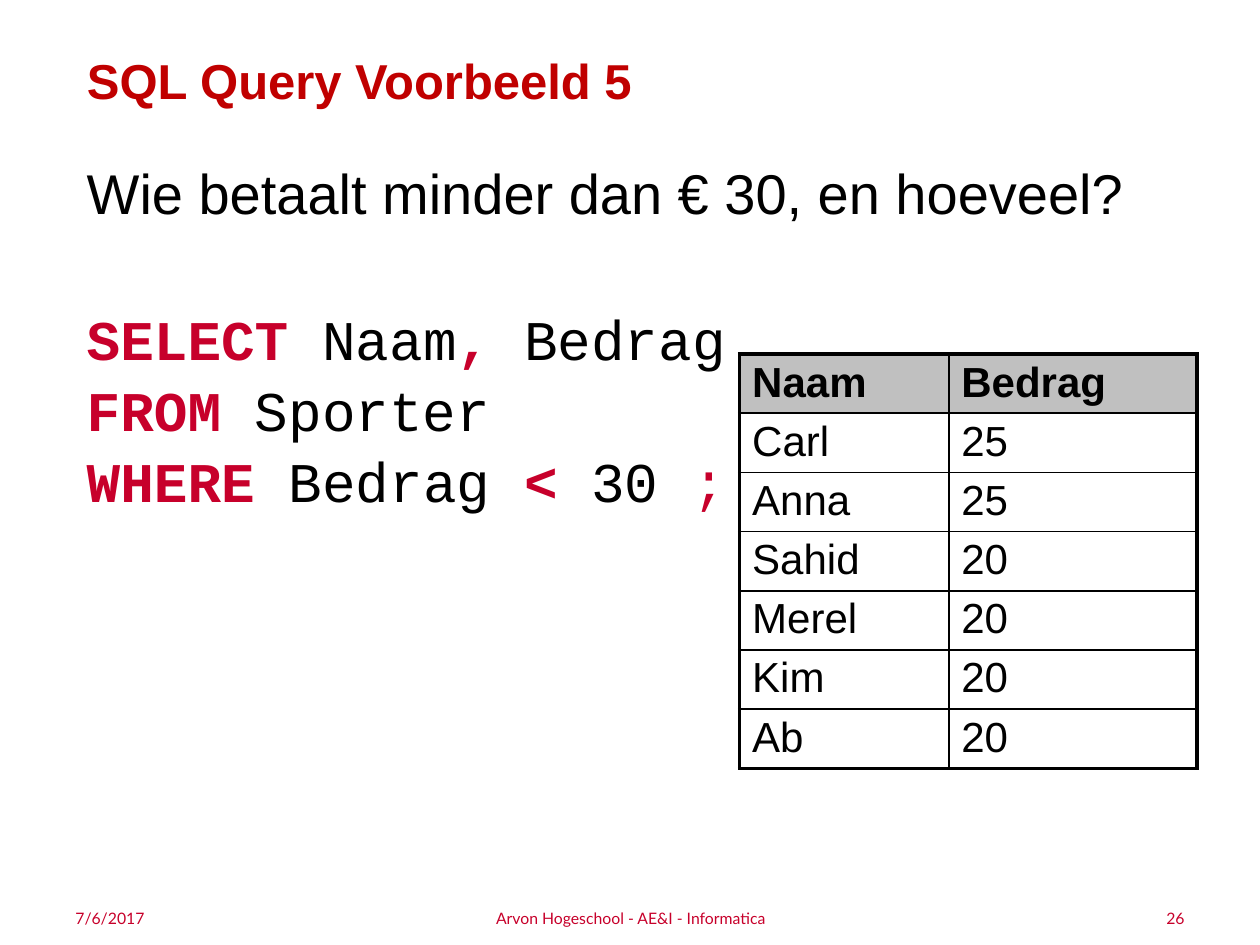
"""Build the slide "SQL Query Voorbeeld 5" with a query and its result table."""
import dataclasses

import pptx
import pptx.dml.color
import pptx.enum.text
import pptx.oxml
import pptx.oxml.ns
import pptx.util

Inches = pptx.util.Inches
Pt = pptx.util.Pt
ALIGN = pptx.enum.text.PP_ALIGN
ANCHOR = pptx.enum.text.MSO_ANCHOR


@dataclasses.dataclass(frozen=True)
class Theme:
    """Colours, fonts and sizes of the slide."""
    title_color: str = "C00000"
    accent: str = "C7002B"
    ink: str = "000000"
    header_fill: str = "C0C0C0"
    sans: str = "Arial"
    mono: str = "Courier New"
    small: str = "Lato"
    title_size: float = 28
    body_size: float = 32
    table_size: float = 24
    footer_size: float = 9
    outer_line: float = 2.25
    inner_line: float = 1


class Deck:
    """Style and current slide, with one method for each kind of element."""

    def __init__(self, theme):
        self.theme = theme
        self.prs = pptx.Presentation()
        self.prs.slide_width, self.prs.slide_height = Inches(10), Inches(7.5)
        self.s = self.prs.slides.add_slide(self.prs.slide_layouts[5])

    def run(self, p, text, size, font, color, bold=False):
        """Add one formatted run."""
        r = p.add_run()
        r.text = text
        r.font.size, r.font.name, r.font.bold = Pt(size), font, bold
        r.font.color.rgb = pptx.dml.color.RGBColor.from_string(color)

    def title(self, text, left, top, width, height):
        """Place and fill the title placeholder."""
        sp = self.s.shapes.title
        sp.left, sp.top, sp.width, sp.height = map(Inches, (left, top, width, height))
        tf = sp.text_frame
        tf.auto_size = pptx.enum.text.MSO_AUTO_SIZE.NONE
        tf.vertical_anchor, tf.margin_top = ANCHOR.TOP, Inches(0.09)
        p = tf.paragraphs[0]
        p.alignment = ALIGN.LEFT
        self.run(p, text, self.theme.title_size, self.theme.sans, self.theme.title_color, True)

    def text_box(self, left, top, width, height):
        """Add an empty wrapping text box and return its frame."""
        tf = self.s.shapes.add_textbox(*map(Inches, (left, top, width, height))).text_frame
        tf.word_wrap = True
        return tf

    def query(self, question, lines, left, top, width, height):
        """Add the question and the lines of code below it."""
        t = self.theme
        tf = self.text_box(left, top, width, height)
        tf.margin_top = Inches(0.08)
        self.run(tf.paragraphs[0], question, t.body_size, t.sans, t.ink)
        for i, line in enumerate(lines):
            p = tf.add_paragraph()
            p.space_before = Pt(2 if i else 45)
            for text, color, bold in line:
                self.run(p, text, t.body_size, t.mono, color, bold)

    def border(self, cell, side, width):
        """Draw one edge of a table cell."""
        ln = pptx.oxml.parse_xml(
            f'<a:ln{side} {pptx.oxml.ns.nsdecls("a")} w="{Pt(width)}"><a:solidFill>'
            f'<a:srgbClr val="{self.theme.ink}"/></a:solidFill></a:ln{side}>')
        cell._tc.get_or_add_tcPr().append(ln)

    def table(self, rows, widths, left, top, row_height):
        """Add a table with a shaded header and a heavy frame."""
        t = self.theme
        frame = self.s.shapes.add_table(
            len(rows), len(widths), Inches(left), Inches(top),
            Inches(sum(widths)), Inches(row_height * len(rows)))
        tbl = frame.table
        tbl.horz_banding = False
        for col, width in zip(tbl.columns, widths):
            col.width = Inches(width)
        for i, row in enumerate(rows):
            for j, text in enumerate(row):
                cell = tbl.cell(i, j)
                cell.margin_top = cell.margin_bottom = Inches(0.04)
                edges = {"L": j == 0, "R": j == len(row) - 1,
                         "T": i == 0, "B": i == len(rows) - 1}
                for side, outer in edges.items():
                    self.border(cell, side, t.outer_line if outer else t.inner_line)
                if i == 0:
                    cell.fill.solid()
                    cell.fill.fore_color.rgb = pptx.dml.color.RGBColor.from_string(t.header_fill)
                else:
                    cell.fill.background()
                self.run(cell.text_frame.paragraphs[0], text, t.table_size, t.sans, t.ink, i == 0)

    def footer(self, text, left, width, align):
        """Add one text of the footer line."""
        t = self.theme
        tf = self.text_box(left, 7.17, width, 0.24)
        tf.vertical_anchor = ANCHOR.MIDDLE
        p = tf.paragraphs[0]
        p.alignment = align
        self.run(p, text, t.footer_size, t.small, t.accent)


def main():
    """Build and save the slide."""
    theme = Theme()
    deck = Deck(theme)
    deck.title("SQL Query Voorbeeld 5", 0.59, 0.31, 7.68, 0.79)
    results = [("Naam", "Bedrag"), ("Carl", "25"), ("Anna", "25"), ("Sahid", "20"),
               ("Merel", "20"), ("Kim", "20"), ("Ab", "20")]
    deck.table(results, (1.66, 1.97), 5.87, 2.81, 0.47)
    ink, accent = theme.ink, theme.accent
    code = [
        [("SELECT", accent, True), (" Naam", ink, False),
         (", ", accent, True), ("Bedrag", ink, False)],
        [("FROM", accent, True), (" Sporter", ink, False)],
        [("WHERE ", accent, True), ("Bedrag ", ink, False), ("<", accent, True),
         (" 30 ", ink, False), (";", accent, False)],
    ]
    deck.query("Wie betaalt minder dan € 30, en hoeveel?", code, 0.59, 1.18, 9.14, 2.79)
    deck.footer("7/6/2017", 0.5, 2.33, ALIGN.LEFT)
    deck.footer("26", 7.17, 2.33, ALIGN.RIGHT)
    deck.footer("Arvon Hogeschool - AE&I - Informatica", 3.42, 3.17, ALIGN.CENTER)
    deck.prs.save("out.pptx")


if __name__ == "__main__":
    main()
